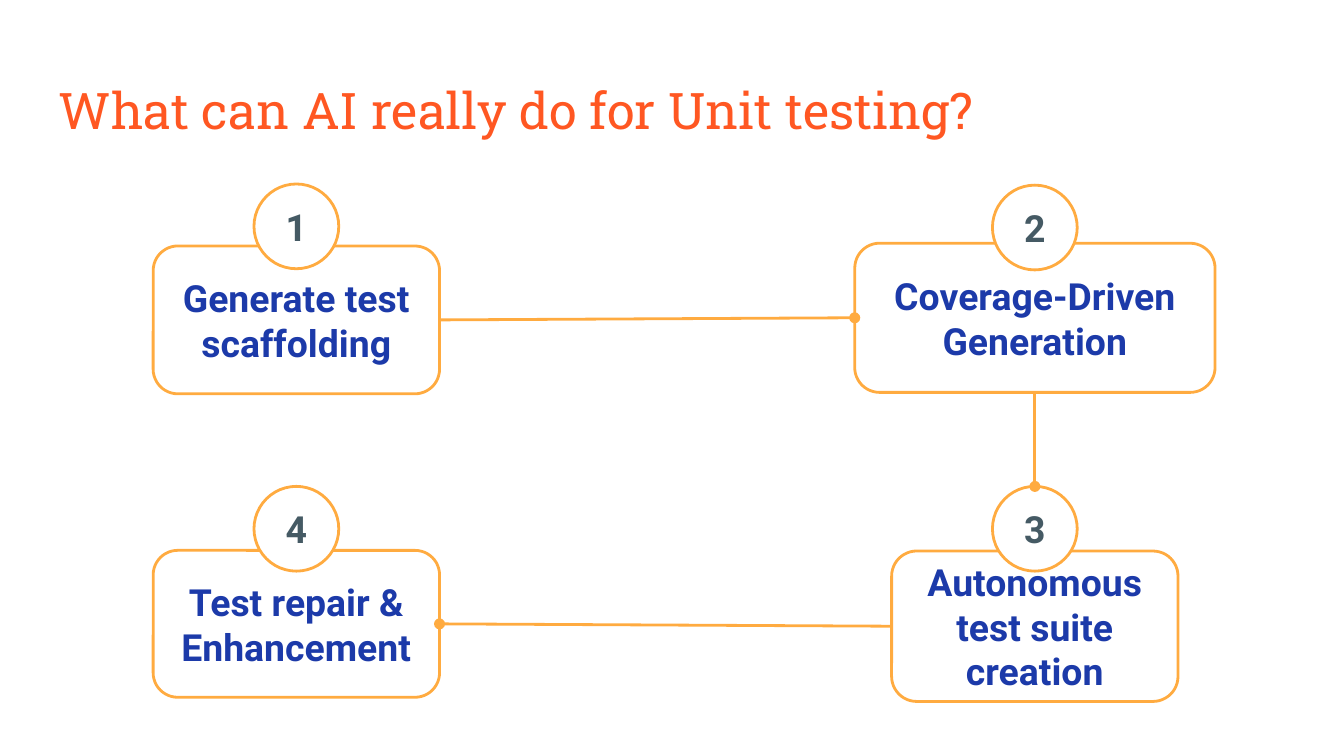
from lxml import etree
from pptx import Presentation
from pptx.dml.color import RGBColor
from pptx.enum import shapes as es, text as et
from pptx.oxml import ns
from pptx.util import Pt

ORANGE = RGBColor(0xFF, 0x57, 0x22)
AMBER = RGBColor(0xFF, 0xAB, 0x40)
BLUE = RGBColor(0x1C, 0x3A, 0xA9)
SLATE = RGBColor(0x45, 0x5A, 0x64)
WHITE = RGBColor(0xFF, 0xFF, 0xFF)

BADGE = 45.4  # diameter of a step number
LINE_WIDTH = Pt(1.5)
TOP, LEFT, BOTTOM, RIGHT = range(4)

FRAME = {"word_wrap": True, "margin_left": Pt(7.2), "margin_right": Pt(7.2),
         "margin_top": Pt(7.2), "margin_bottom": Pt(7.2)}

# label, card box (left, top, width, height), top of badge, filled card
STEPS = [
    ("Generate test scaffolding", (82.1, 131.8, 153.4, 79.2), 98.6, True),
    ("Coverage-Driven Generation", (457.9, 130.3, 193, 79.9), 99.2, True),
    ("Autonomous test suite creation", (477.7, 295.2, 153.4, 80.6), 260.6, True),
    ("Test repair & Enhancement", (82.1, 294.9, 153.4, 78.7), 260.6, False),
]


def write(shape, wording, align, anchor, **font):
    frame = shape.text_frame
    for key, value in {**FRAME, "vertical_anchor": anchor}.items():
        setattr(frame, key, value)
    paragraph = frame.paragraphs[0]
    paragraph.alignment = align
    run = paragraph.add_run()
    run.text = wording
    run.font.color.rgb = font.pop("color")
    for key, value in font.items():
        setattr(run.font, key, value)


def add_title(slide, box, wording):
    title = slide.shapes.add_textbox(*map(Pt, box))
    write(title, wording, et.PP_ALIGN.LEFT, et.MSO_ANCHOR.TOP,
          name="Roboto Slab", size=Pt(27), color=ORANGE)


def add_outlined(slide, kind, box, wording, color, filled=True):
    shape = slide.shapes.add_shape(kind, *map(Pt, box))
    shape.shadow.inherit = False
    if filled:
        shape.fill.solid()
        shape.fill.fore_color.rgb = WHITE
    else:
        shape.fill.background()
    shape.line.color.rgb = AMBER
    shape.line.width = LINE_WIDTH
    write(shape, wording, et.PP_ALIGN.CENTER, et.MSO_ANCHOR.MIDDLE,
          name="Roboto", size=Pt(20), bold=True, color=color)
    return shape


def add_step(slide, box, number, label, badge_top, filled):
    """Card with its number in a badge centred over the top edge."""
    left, _, width, _ = box
    card = add_outlined(slide, es.MSO_SHAPE.ROUNDED_RECTANGLE, box, label, BLUE, filled)
    badge_box = (left + (width - BADGE) / 2, badge_top, BADGE, BADGE)
    badge = add_outlined(slide, es.MSO_SHAPE.OVAL, badge_box, str(number), SLATE)
    return card, badge


def add_link(slide, start, start_side, end, end_side):
    """Line from one step to the next, with a dot at its end."""
    link = slide.shapes.add_connector(es.MSO_CONNECTOR.STRAIGHT, 0, 0, 0, 0)
    link.begin_connect(start, start_side)
    link.end_connect(end, end_side)
    link.line.color.rgb = AMBER
    link.line.width = LINE_WIDTH
    etree.SubElement(link.line._get_or_add_ln(), ns.qn("a:tailEnd"), type="oval")
    etree.SubElement(link._element.spPr, ns.qn("a:effectLst"))


def main():
    deck = Presentation()
    deck.slide_width, deck.slide_height = Pt(720), Pt(405)
    slide = deck.slides.add_slide(deck.slide_layouts[6])

    # Heading
    add_title(slide, (24.5, 35.3, 671, 45.4), "What can AI really do for Unit testing?")

    # Numbered steps
    steps = [add_step(slide, box, number, label, badge_top, filled)
             for number, (label, box, badge_top, filled) in enumerate(STEPS, 1)]
    (scaffolding, _), (coverage, _), (suite, suite_badge), (repair, _) = steps

    # Links in reading order
    add_link(slide, scaffolding, RIGHT, coverage, LEFT)
    add_link(slide, coverage, BOTTOM, suite_badge, TOP)
    add_link(slide, suite, LEFT, repair, RIGHT)

    deck.save("out.pptx")


if __name__ == "__main__":
    main()
